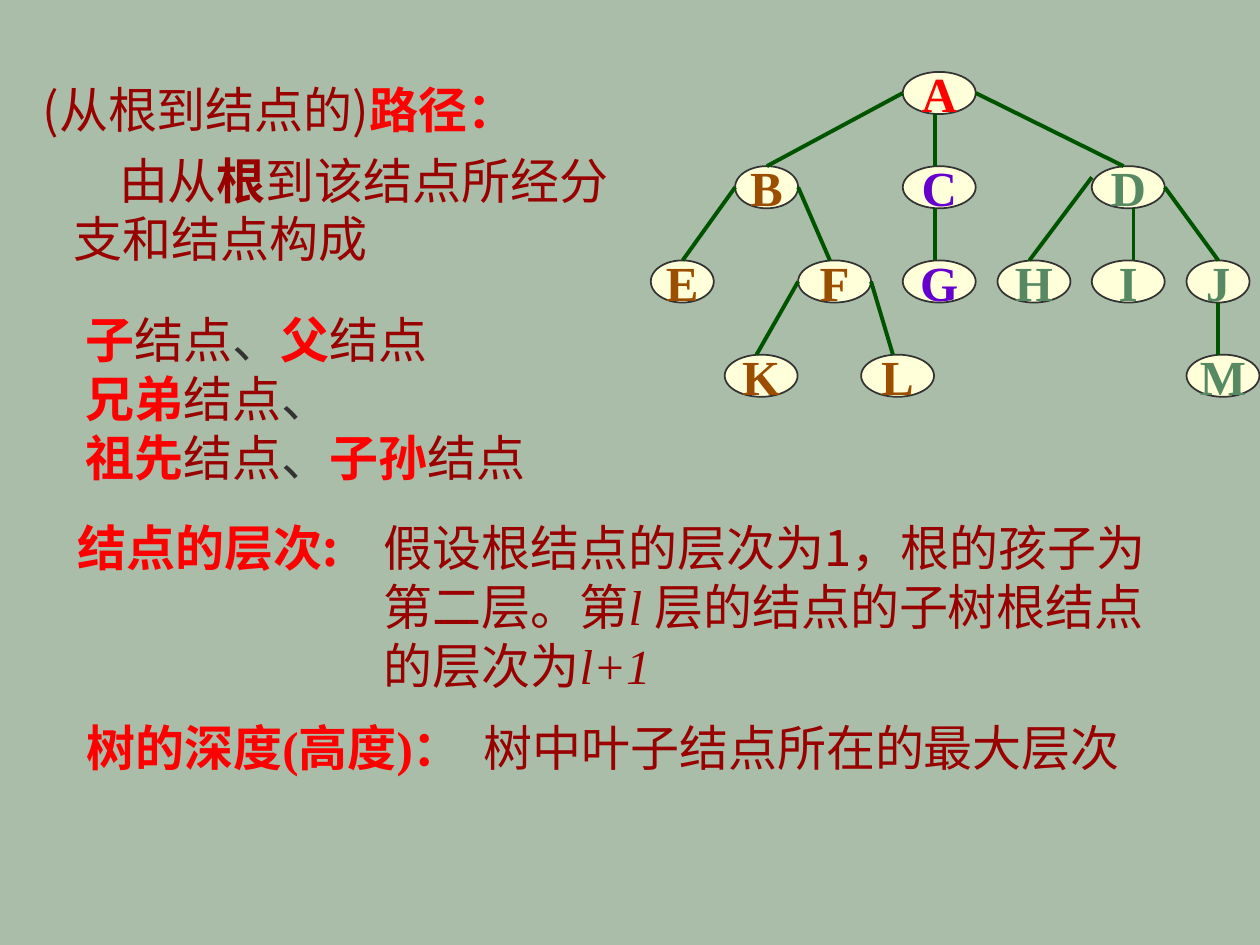
from lxml.etree import SubElement
from pptx import Presentation
from pptx.dml.color import RGBColor
from pptx.enum.shapes import MSO_CONNECTOR as Connector, MSO_SHAPE as Shape
from pptx.enum.text import MSO_ANCHOR as Anchor, MSO_AUTO_SIZE as AutoSize, PP_ALIGN as Align
from pptx.oxml.ns import qn
from pptx.util import Cm, Pt

SAGE = RGBColor(0xA9, 0xBD, 0xA9)
CREAM = RGBColor(0xFF, 0xFF, 0xD9)
GRAY = RGBColor(0x33, 0x33, 0x33)
DARK_GREEN = RGBColor(0x00, 0x54, 0x00)
MAROON = RGBColor(0x99, 0x00, 0x00)
RED = RGBColor(0xFF, 0x00, 0x00)
BROWN = RGBColor(0x9C, 0x4E, 0x00)
PURPLE = RGBColor(0x66, 0x00, 0xCC)
GREEN = RGBColor(0x57, 0x89, 0x63)
SANS, SERIF = "Noto Sans CJK SC", "Times New Roman"

PLAIN = {"color": MAROON}
KEY = {"color": RED, "bold": True}
STRONG = {"color": MAROON, "bold": True}
COMMA = {"color": GRAY}
SYMBOL = {"color": MAROON, "name": SERIF, "italic": True}

WIDE, NARROW, NODE_HEIGHT = 1.47, 1.27, 0.85
TREE_TOP, LEVEL_GAP, ENTRY = 1.45, 1.9, 0.64
NODES = {
    "A": (18.2, 0, WIDE, RED),
    "B": (14.82, 1, NARROW, BROWN),
    "C": (18.2, 1, WIDE, PURPLE),
    "D": (22.01, 1, WIDE, GREEN),
    "E": (13.12, 2, NARROW, BROWN),
    "F": (16.09, 2, WIDE, BROWN),
    "G": (18.2, 2, WIDE, PURPLE),
    "H": (20.11, 2, WIDE, GREEN),
    "I": (22.01, 2, WIDE, GREEN),
    "J": (23.92, 2, NARROW, GREEN),
    "M": (23.92, 3, WIDE, GREEN),
    "K": (14.61, 3, WIDE, BROWN),
    "L": (17.36, 3, WIDE, BROWN),
}
BRANCHES = [
    ("A", "B", "left", 0, 0), ("A", "C", "down", 0, 0), ("A", "D", "right", 0, 0),
    ("B", "E", "left", 0, 0), ("B", "F", "right", 0, 0),
    ("F", "K", "left", 0, 0), ("F", "L", "right", 0, 0), ("C", "G", "down", 0, 0),
    ("D", "H", "left", 0, -0.2), ("D", "I", "down", 0.2, 0), ("D", "J", "right", 0, 0),
    ("J", "M", "down", 0, 0),
]


class TreeSlide:
    """Draws tree nodes, branches and definitions on one slide in a shared style."""

    def __init__(self, slide, size=28):
        self.slide, self.size = slide, size
        slide.background.fill.solid()
        slide.background.fill.fore_color.rgb = SAGE

    def words(self, paragraph, text, style):
        run = paragraph.add_run()
        run.text = text
        values = {"name": SANS, "size": Pt(self.size), "bold": False, "italic": False, **style}
        run.font.color.rgb = values.pop("color")
        for key, value in values.items():
            setattr(run.font, key, value)
        SubElement(run._r.get_or_add_rPr(), qn("a:ea"), typeface=SANS)

    def text(self, left, top, width, height, lines, wrap=True, indent=0):
        box = self.slide.shapes.add_textbox(Cm(left), Cm(top), Cm(width), Cm(height))
        frame = box.text_frame
        frame.word_wrap, frame.auto_size = wrap, AutoSize.SHAPE_TO_FIT_TEXT
        for number, line in enumerate(lines):
            paragraph = frame.add_paragraph() if number else frame.paragraphs[0]
            if indent:
                paragraph._p.get_or_add_pPr().set("indent", str(Cm(indent)))
            for part, style in line:
                self.words(paragraph, part, style)

    def node(self, letter, left, level, width, color):
        top = TREE_TOP + level * LEVEL_GAP
        oval = self.slide.shapes.add_shape(Shape.OVAL, Cm(left), Cm(top), Cm(width), Cm(NODE_HEIGHT))
        oval.shadow.inherit = False
        oval.fill.solid()
        oval.fill.fore_color.rgb = CREAM
        oval.line.color.rgb, oval.line.width = GRAY, Pt(1)
        frame = oval.text_frame
        frame.word_wrap, frame.vertical_anchor = False, Anchor.MIDDLE
        frame.paragraphs[0].alignment = Align.CENTER
        self.words(frame.paragraphs[0], letter, {"name": SERIF, "bold": True, "color": color})

    def branch(self, parent, child, side, shift, lift):
        left, level, width, _ = NODES[parent]
        top = TREE_TOP + level * LEVEL_GAP
        end_x = NODES[child][0] + ENTRY + shift
        middle = top + NODE_HEIGHT / 2 + lift
        x, y = {"left": (left, middle), "right": (left + width, middle),
                "down": (end_x, top + NODE_HEIGHT)}[side]
        line = self.slide.shapes.add_connector(
            Connector.STRAIGHT, Cm(x), Cm(y), Cm(end_x), Cm(top + LEVEL_GAP))
        line.line.color.rgb, line.line.width = DARK_GREEN, Pt(2.25)
        SubElement(line._element.spPr, qn("a:effectLst"))


def main():
    deck = Presentation()
    deck.slide_width, deck.slide_height = Cm(25.4), Cm(19.05)
    tree = TreeSlide(deck.slides.add_slide(deck.slide_layouts[6]))

    tree.text(0.61, 1.47, 12.5, 1.45, [[("(从根到结点的)", PLAIN), ("路径：", KEY)]])
    tree.text(1.47, 6.12, 9.42, 3.81, [
        [("子", KEY), ("结点", PLAIN), ("、", COMMA), ("父", KEY), ("结点", PLAIN)],
        [("兄弟", KEY), ("结点", PLAIN), ("、", COMMA)],
        [("祖先", KEY), ("结点", PLAIN), ("、", COMMA), ("子孙", KEY), ("结点", PLAIN)],
    ], wrap=False)
    tree.text(1.32, 10.31, 5.97, 1.45, [[("结点的层次:", KEY)]], wrap=False)
    tree.text(1.5, 14.33, 8.61, 1.45, [[("树的深度(高度)：", {**KEY, "name": SERIF})]])
    tree.text(1.24, 2.9, 12.07, 2.62, [
        [("由从", PLAIN), ("根", STRONG), ("到该结点所经分支和结点构成", PLAIN)],
    ], indent=0.91)

    for letter, place in NODES.items():
        tree.node(letter, *place)
    for branch in BRANCHES:
        tree.branch(*branch)

    tree.text(7.49, 10.31, 16.71, 3.81, [
        [("假设根结点的层次为1，根的孩子为第二层。第", PLAIN), ("l ", SYMBOL),
         ("层的结点的子树根结点的层次为", PLAIN), ("l+1", SYMBOL)],
    ])
    tree.text(9.5, 14.33, 13.36, 1.45,
              [[("树中叶子结点所在的最大层次", {**PLAIN, "name": SERIF})]], wrap=False)
    deck.save("out.pptx")


if __name__ == "__main__":
    main()
